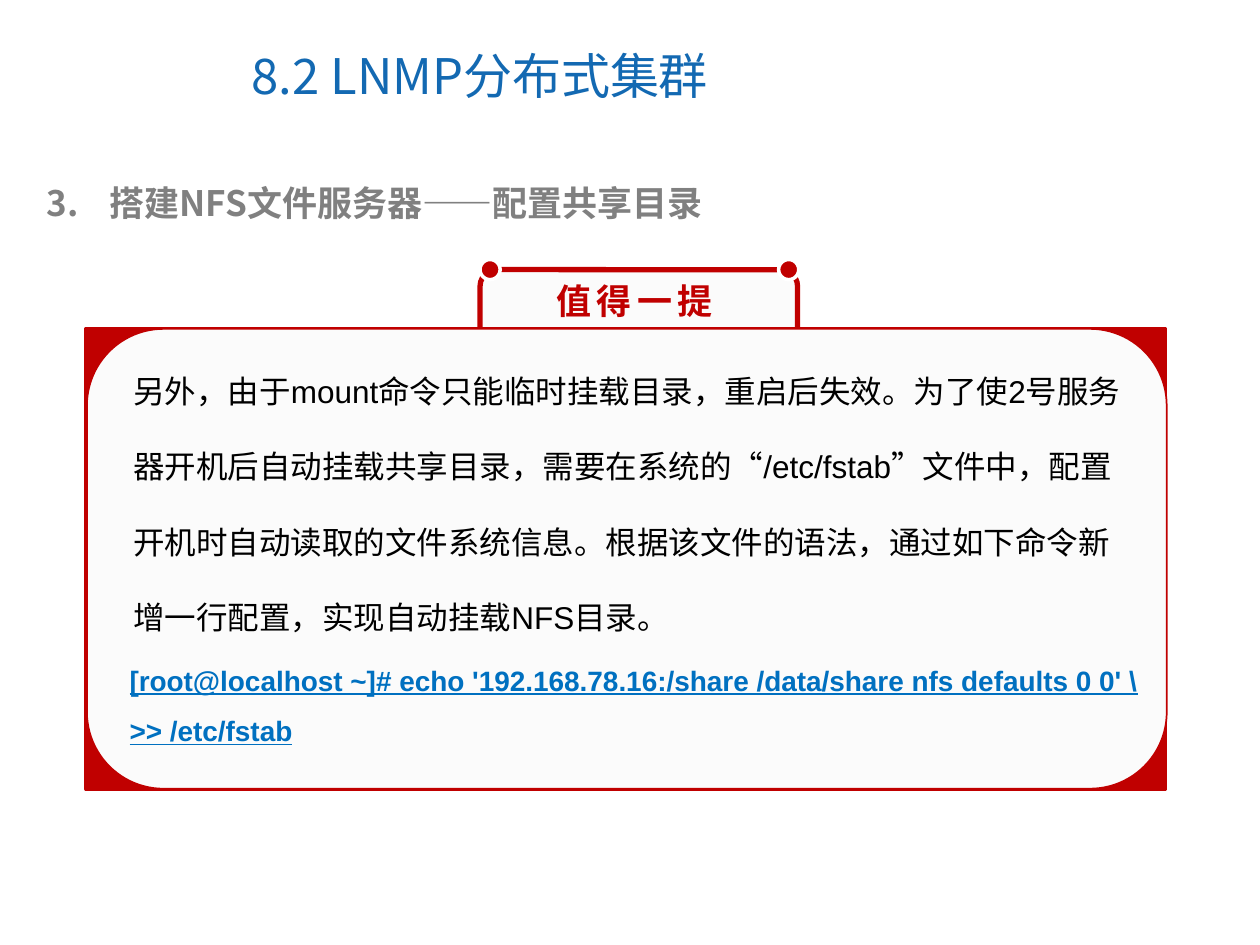
import pptx
import pptx.dml.color
import pptx.enum.shapes
import pptx.enum.text
import pptx.oxml.ns
import pptx.util
from lxml import etree

Inches, Pt = pptx.util.Inches, pptx.util.Pt
RGBColor = pptx.dml.color.RGBColor
MSO_SHAPE = pptx.enum.shapes.MSO_SHAPE
MSO_ANCHOR = pptx.enum.text.MSO_ANCHOR
qn = pptx.oxml.ns.qn

BLUE = RGBColor(0x13, 0x69, 0xB2)
COMMAND_BLUE = RGBColor(0x00, 0x70, 0xC0)
GREY = RGBColor(0x80, 0x80, 0x80)
RED = RGBColor(0xC0, 0x00, 0x00)
PANEL = RGBColor(0xFB, 0xFB, 0xFB)
WHITE = RGBColor(0xFF, 0xFF, 0xFF)
BLACK = RGBColor(0x00, 0x00, 0x00)

CJK_FONT = "Noto Sans CJK SC"


def add_run(p, text, size=18, color=BLACK, font=CJK_FONT, bold=False,
            underline=False, tracking=None):
    """Add a formatted run; tracking is the letter spacing in points."""
    r = p.add_run()
    r.text = text
    r.font.size = Pt(size)
    r.font.color.rgb = color
    r.font.name = font
    r.font.bold = bold
    r.font.underline = underline
    rPr = r.font._element
    rPr.find(qn("a:latin")).addnext(
        etree.Element(qn("a:ea"), typeface=CJK_FONT))
    if tracking:
        rPr.set("spc", str(tracking * 100))


def number_paragraph(p, start, indent):
    """Give a paragraph an automatic number with a hanging indent."""
    pPr = p._p.get_or_add_pPr()
    pPr.set("marL", str(indent))
    pPr.set("indent", str(-indent))
    etree.SubElement(pPr, qn("a:buFont"), typeface="+mj-lt")
    etree.SubElement(pPr, qn("a:buAutoNum"), type="arabicPeriod",
                     startAt=str(start))


class SlideBuilder:
    def __init__(self, s):
        self.s = s

    def shape(self, kind, x, y, w, h, fill, line, line_width):
        sp = self.s.shapes.add_shape(
            kind, Inches(x), Inches(y), Inches(w), Inches(h))
        sp.shadow.inherit = False
        sp.fill.solid()
        sp.fill.fore_color.rgb = fill
        sp.line.color.rgb = line
        sp.line.width = Pt(line_width)
        return sp

    def text(self, lines, x, y, w, h, wrap=True, anchor=MSO_ANCHOR.TOP,
             line_spacing=None, **style):
        sp = self.s.shapes.add_textbox(
            Inches(x), Inches(y), Inches(w), Inches(h))
        tf = sp.text_frame
        tf.word_wrap = wrap
        tf.vertical_anchor = anchor
        for i, line in enumerate(lines):
            p = tf.add_paragraph() if i else tf.paragraphs[0]
            if line_spacing:
                p.line_spacing = line_spacing
            add_run(p, line, **style)
        return sp


def main():
    prs = pptx.Presentation()
    prs.slide_width, prs.slide_height = Inches(10), Inches(7.5)
    b = SlideBuilder(prs.slides.add_slide(prs.slide_layouts[6]))

    b.text(["8.2 LNMP分布式集群"], 1.9, 0.17, 5.67, 0.85,
           anchor=MSO_ANCHOR.MIDDLE, size=28, color=BLUE)
    heading = b.text(["搭建NFS文件服务器——配置共享目录"], 0.27, 1.39, 9.22, 0.44,
                     size=20, color=GREY, bold=True)
    number_paragraph(heading.text_frame.paragraphs[0], 3, Inches(0.5))

    # Tab behind the panel, then the panel with red corners
    b.shape(MSO_SHAPE.ROUNDED_RECTANGLE, 3.81, 2.14, 2.52, 0.79, PANEL, RED, 3)
    b.shape(MSO_SHAPE.FLOWCHART_PROCESS, 0.68, 2.61, 8.57, 3.65, RED, RED, 2)
    b.shape(MSO_SHAPE.FLOWCHART_ALTERNATE_PROCESS, 0.69, 2.61, 8.57, 3.65,
            PANEL, RED, 1)
    for x in (3.81, 6.18):
        b.shape(MSO_SHAPE.OVAL, x, 2.06, 0.16, 0.16, RED, WHITE, 2)
    b.text(["值得一提"], 4.32, 2.17, 1.5, 0.44, wrap=False,
           size=20, color=RED, bold=True, tracking=3)

    b.text(["另外，由于mount命令只能临时挂载目录，重启后失效。"
            "为了使2号服务器开机后自动挂载共享目录，"
            "需要在系统的“/etc/fstab”文件中，配置开机时自动读取的文件系统信息。"
            "根据该文件的语法，通过如下命令新增一行配置，实现自动挂载NFS目录。"],
           0.96, 2.6, 8.18, 2.52, line_spacing=2.0, font="Arial")
    b.text(["[root@localhost ~]# echo '192.168.78.16:/share /data/share nfs "
            "defaults 0 0' \\",
            ">> /etc/fstab"],
           0.93, 5.08, 8.43, 0.91, line_spacing=1.5, size=16, font="Arial",
           color=COMMAND_BLUE, bold=True, underline=True)

    prs.save("out.pptx")


if __name__ == "__main__":
    main()
